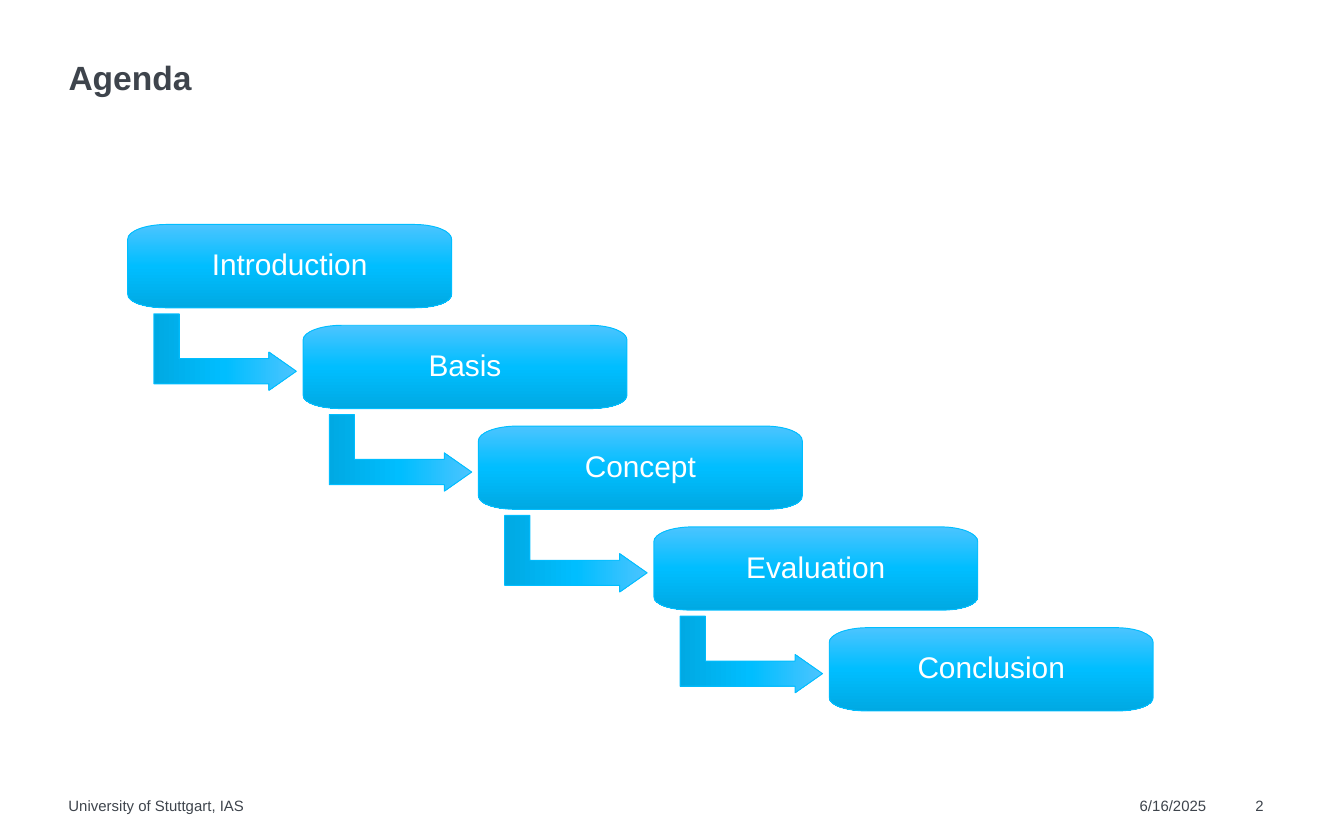
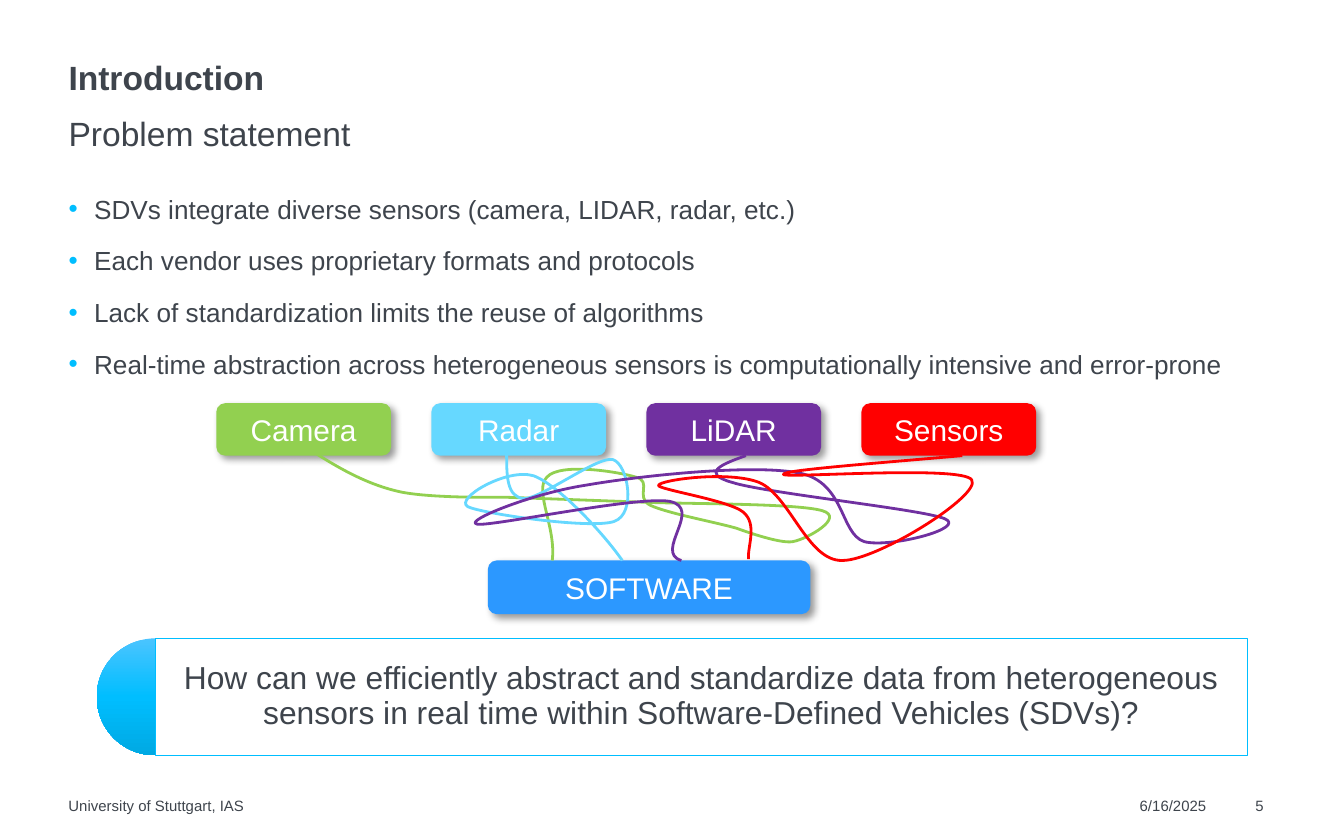
from copy import deepcopy
from lxml import etree
from pptx import Presentation
from pptx import util as u
from pptx.dml.color import RGBColor
from pptx.enum import shapes, text
from pptx.oxml.ns import qn

PX = 9144
INK, WHITE, CYAN = "3E444C", "FFFFFF", "00BEFF"
GRAD = [(0, "4BC4FF"), (0.5, CYAN), (1, "00A9E3")]
FORM = shapes.MSO_SHAPE
MID, LOW = text.MSO_ANCHOR.MIDDLE, text.MSO_ANCHOR.BOTTOM
CENTER = text.PP_ALIGN.CENTER

TITLE = (51, 43, 898, 30)
FOOT = [("University of Stuttgart, IAS", (51, 593, 663, 14)),
        ("6/16/2025", (848, 593, 58, 14))]
PAGE = (934, 593, 24, 14)

STEPS = ["Introduction", "Basis", "Concept", "Evaluation", "Conclusion"]
FIRST, LAST, TOP, DROP = 95, 617, 167, 75
BEND = (44, 42, 57, 106)
CARD = [(0, 11), (0, 5, 13, 0, 29, 0), (213, 0),
        (229, 0, 241, 5, 241, 11), (241, 52),
        (241, 58, 229, 62, 213, 62), (29, 62),
        (13, 62, 0, 58, 0, 52), (0, 11)]

POINTS = [
    "SDVs integrate diverse sensors (camera, LIDAR, radar, etc.)",
    "Each vendor uses proprietary formats and protocols",
    "Lack of standardization limits the reuse of algorithms",
    "Real-time abstraction across heterogeneous sensors is "
    "computationally intensive and error-prone",
]
ASK = ("How can we efficiently abstract and standardize data from "
       "heterogeneous sensors in real time within Software-Defined "
       "Vehicles (SDVs)?")
SENSORS = [
    ("Camera", "92D050", [
        (236, 338), (255, 350, 275, 361, 298, 366),
        (322, 371, 376, 370, 376, 370), (488, 374),
        (527, 375, 595, 375, 612, 380), (629, 385, 601, 401, 590, 403),
        (580, 405, 548, 393, 548, 393), (530, 388, 497, 382, 484, 376),
        (472, 370, 486, 358, 473, 355), (460, 351, 417, 344, 407, 355),
        (397, 365, 414, 392, 411, 417)]),
    ("Radar", "66D8FF", [
        (377, 338), (377, 354, 377, 370, 390, 371),
        (403, 371, 445, 339, 456, 342), (467, 345, 474, 382, 457, 388),
        (439, 394, 358, 382, 348, 377), (338, 371, 377, 348, 397, 354),
        (416, 361, 450, 398, 463, 417)]),
    ("LiDAR", "7030A0", [
        (555, 339), (538, 345, 520, 352, 545, 359),
        (570, 367, 687, 379, 703, 386), (720, 393, 662, 408, 643, 403),
        (625, 397, 629, 359, 595, 352), (560, 345, 476, 354, 436, 361),
        (396, 367, 344, 388, 355, 390), (365, 392, 473, 369, 498, 373),
        (524, 378, 486, 411, 507, 417)]),
    ("Sensors", "FF0000", [
        (716, 339), (648, 345, 581, 350, 583, 353),
        (584, 356, 716, 346, 723, 357), (731, 368, 653, 417, 627, 417),
        (601, 418, 588, 369, 565, 359), (542, 350, 492, 357, 490, 361),
        (488, 364, 542, 372, 553, 381), (564, 390, 556, 407, 557, 416)]),
]


def hue(code):
    return RGBColor.from_string(code)


def emu(vals):
    return [round(v * PX) for v in vals]


def give(item, **vals):
    for key, val in vals.items():
        setattr(item, key, val)


def place(item, box):
    give(item, **dict(zip(("left", "top", "width", "height"), emu(box))))


def write(item, lines, size, color=INK, bold=False, inset=0,
          anchor=text.MSO_ANCHOR.TOP, align=text.PP_ALIGN.LEFT,
          space=1.0, gap=0, dot=False):
    frame = item.text_frame
    side = u.Emu(inset * PX)
    give(frame, word_wrap=True, auto_size=text.MSO_AUTO_SIZE.NONE,
         vertical_anchor=anchor, margin_left=side, margin_right=side,
         margin_top=side, margin_bottom=side)
    for i, line in enumerate(lines):
        para = frame.add_paragraph() if i else frame.paragraphs[0]
        props = para._p.get_or_add_pPr()
        if dot:
            give_dot(props)
        else:
            props.set("marL", "0")
            props.set("indent", "0")
            etree.SubElement(props, qn("a:buNone"))
        give(para, alignment=align, line_spacing=space,
             space_before=u.Pt(gap if i else 0))
        run = para.add_run()
        run.text = line
        give(run.font, name="Arial", size=u.Pt(size), bold=bold)
        run.font.color.rgb = hue(color)


def give_dot(props):
    props.set("marL", str(19 * PX))
    props.set("indent", str(-19 * PX))
    tint = etree.SubElement(props, qn("a:buClr"))
    etree.SubElement(tint, qn("a:srgbClr"), val=CYAN)
    etree.SubElement(props, qn("a:buChar"), char="•")


def paint(item, fill=None, line=None, width=0.5):
    item.shadow.inherit = False
    if fill is GRAD:
        item.fill.gradient()
        item.fill.gradient_angle = 270
        stops = item.element.spPr.find(".//" + qn("a:gsLst"))
        stops.insert(1, deepcopy(stops[0]))
        for stop, (pos, code) in zip(item.fill.gradient_stops, GRAD):
            stop.position = pos
            stop.color.rgb = hue(code)
    elif fill:
        item.fill.solid()
        item.fill.fore_color.rgb = hue(fill)
    else:
        item.fill.background()
    if line:
        item.line.color.rgb = hue(line)
        item.line.width = u.Pt(width)
    else:
        item.line.fill.background()


def shape(slide, form, box, fill, line=None):
    item = slide.shapes.add_shape(form, *emu(box))
    paint(item, fill, line)
    return item


def curve(slide, segs, close=False):
    segs = [emu(seg) for seg in segs]
    pen = slide.shapes.build_freeform(*segs[0])
    pen.add_line_segments([seg[-2:] for seg in segs[1:]], close=close)
    item = pen.convert_to_shape()
    base = item.left, item.top
    nodes = item.element.spPr.findall(".//" + qn("a:lnTo"))
    for node, seg in zip(nodes, segs[1:]):
        if len(seg) == 2:
            continue
        node.clear()
        bend = etree.Element(qn("a:cubicBezTo"))
        for x, y in zip(seg[::2], seg[1::2]):
            etree.SubElement(bend, qn("a:pt"), x=str(x - base[0]),
                             y=str(y - base[1]))
        node.getparent().replace(node, bend)
    return item


def block(slide, label, box, fill):
    item = shape(slide, FORM.ROUNDED_RECTANGLE, box, fill)
    glow = item.element.spPr.find(qn("a:effectLst"))
    cast = etree.SubElement(glow, qn("a:outerShdw"), blurRad=str(u.Pt(4)),
                            dist=str(u.Pt(3)), dir="2700000", algn="tl",
                            rotWithShape="0")
    tint = etree.SubElement(cast, qn("a:srgbClr"), val="000000")
    etree.SubElement(tint, qn("a:alpha"), val="40000")
    write(item, [label], 16, WHITE, inset=5, anchor=MID, align=CENTER)


def start(deck, layout, title, page):
    slide = deck.slides.add_slide(deck.slide_layouts[layout])
    head = slide.shapes.title
    place(head, TITLE)
    write(head, [title], 18, bold=True, anchor=LOW, space=0.9)
    for words, box in FOOT + [(page, PAGE)]:
        write(slide.shapes.add_textbox(*emu(box)), [words], 8)
    return slide


def agenda(deck):
    slide = start(deck, 5, "Agenda", "2")
    for i, step in enumerate(STEPS):
        x = FIRST + (LAST - FIRST) * i / (len(STEPS) - 1)
        y = TOP + DROP * i
        if i < len(STEPS) - 1:
            dx, dy, w, h = BEND
            arrow = shape(slide, FORM.BENT_UP_ARROW,
                          (x + dx, y + dy, w, h), GRAD, CYAN)
            arrow.rotation = 90
            for k, val in enumerate((0.328, 0.25, 0.358)):
                arrow.adjustments[k] = val
        path = [[v + (y if k % 2 else x) for k, v in enumerate(seg)]
                for seg in CARD]
        card = curve(slide, path, True)
        paint(card, GRAD, CYAN)
        write(card, [step], 16, WHITE, inset=5, anchor=MID,
              align=CENTER, space=0.9)


def intro(deck):
    slide = start(deck, 3, "Introduction", "5")
    sub, body = list(slide.placeholders)[1:3]
    place(sub, (51, 78, 898, 30))
    write(sub, ["Problem statement"], 18, space=1.2)
    place(body, (51, 139, 917, 152))
    write(body, POINTS, 14, space=1.2, gap=7.5, dot=True)
    for i, (label, code, _) in enumerate(SENSORS):
        block(slide, label, (161 + 160 * i, 300, 130, 39), code)
    block(slide, "SOFTWARE", (363, 417, 240, 40), "2C98FF")
    for _, code, wire in SENSORS:
        paint(curve(slide, wire), line=code, width=1.5)
    pie = shape(slide, FORM.PIE, (72, 475, 87, 87), GRAD)
    pie.adjustments[0] = 54
    pie.adjustments[1] = 162
    panel = shape(slide, FORM.RECTANGLE, (116, 475, 812, 87), WHITE, CYAN)
    tint = panel.element.spPr.find(qn("a:solidFill"))[0]
    etree.SubElement(tint, qn("a:alpha"), val="90000")
    write(panel, [ASK], 17, inset=7, anchor=MID, align=CENTER, space=0.9)


def main():
    deck = Presentation()
    deck.slide_width, deck.slide_height = emu((1000, 625))
    agenda(deck)
    intro(deck)
    deck.save("out.pptx")


if __name__ == "__main__":
    main()
